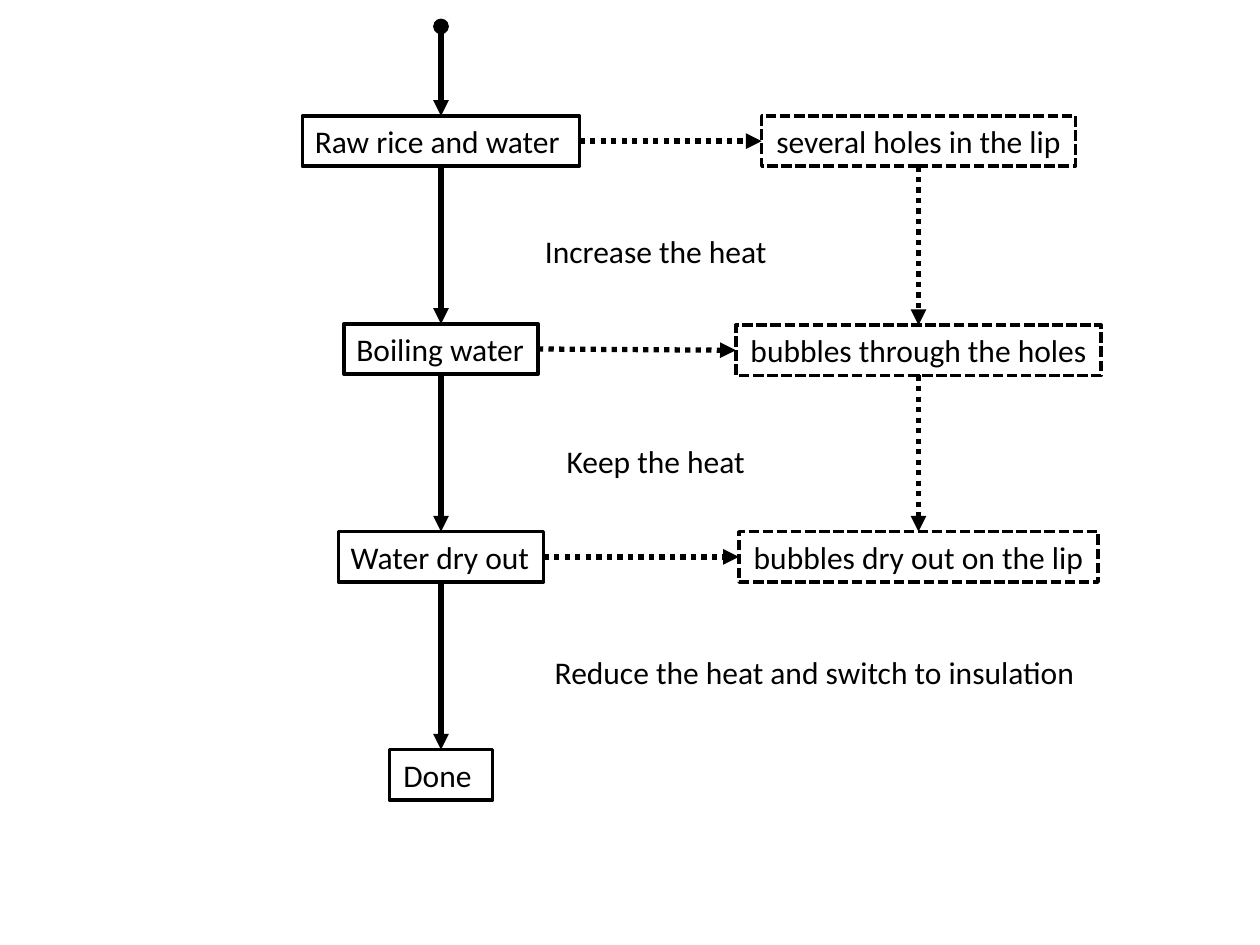
from lxml.etree import SubElement
from pptx import Presentation
from pptx.dml.color import RGBColor
from pptx.enum.dml import MSO_LINE
from pptx.enum.shapes import MSO_CONNECTOR, MSO_SHAPE
from pptx.enum.text import MSO_ANCHOR, PP_ALIGN
from pptx.oxml.ns import qn
from pptx.util import Inches, Pt

TOP, LEFT, BOTTOM, RIGHT = range(4)


def color(hex_string):
    return RGBColor.from_string(hex_string)


class FlowChart:
    FONT, SIZE = "Calibri", Pt(18)
    INK, PAPER = "000000", "FFFFFF"
    BOX_HEIGHT = 0.4

    def __init__(self, slide):
        self.slide = slide

    def set_text(self, shape, text, align, wrap=True):
        frame = shape.text_frame
        frame.text = text
        frame.word_wrap = wrap
        frame.vertical_anchor = MSO_ANCHOR.TOP
        paragraph = frame.paragraphs[0]
        paragraph.alignment = align
        font = paragraph.runs[0].font
        font.name, font.size = self.FONT, self.SIZE
        font.color.rgb = color(self.INK)

    def stroke(self, line, width, dash):
        line.color.rgb = color(self.INK)
        line.width = Pt(width)
        if dash:
            line.dash_style = dash

    def box(self, text, center, top, width, align=PP_ALIGN.LEFT, dash=None):
        shape = self.slide.shapes.add_shape(
            MSO_SHAPE.RECTANGLE, Inches(center - width / 2), Inches(top),
            Inches(width), Inches(self.BOX_HEIGHT))
        shape.shadow.inherit = False
        shape.fill.solid()
        shape.fill.fore_color.rgb = color(self.PAPER)
        self.stroke(shape.line, 2, dash)
        self.set_text(shape, text, align, wrap=dash is None)
        return shape

    def label(self, text, left, top, width):
        shape = self.slide.shapes.add_textbox(
            Inches(left), Inches(top), Inches(width), Inches(self.BOX_HEIGHT))
        self.set_text(shape, text, PP_ALIGN.CENTER)

    def arrow(self, end, end_side, begin=None, begin_side=None, start=(0, 0), dash=None):
        """Arrow into a box, from another box or from a free starting point."""
        x, y = map(Inches, start)
        connector = self.slide.shapes.add_connector(MSO_CONNECTOR.STRAIGHT, x, y, x, y)
        if begin is not None:
            connector.begin_connect(begin, begin_side)
        connector.end_connect(end, end_side)
        self.stroke(connector.line, 3, dash)
        properties = connector._element.spPr
        outline = properties.find(qn("a:ln"))
        if begin is None:
            SubElement(outline, qn("a:headEnd"), type="oval")
        SubElement(outline, qn("a:tailEnd"), type="triangle")
        SubElement(properties, qn("a:effectLst"))


def main():
    presentation = Presentation()
    presentation.slide_width, presentation.slide_height = Inches(10), Inches(7.5)
    chart = FlowChart(presentation.slides.add_slide(presentation.slide_layouts[6]))
    state_center, sign_center = 3.5, 7.29

    # Cooking states on the left
    states = [chart.box(text, state_center, top, width) for text, top, width in (
        ("Raw rice and water", 0.92, 2.2),
        ("Boiling water", 2.57, 1.54),
        ("Water dry out", 4.22, 1.63))]
    states.append(chart.box("Done ", state_center, 5.95, 0.82, PP_ALIGN.CENTER))

    # Visible signs on the right
    signs = [chart.box(text, sign_center, top, width, PP_ALIGN.CENTER, MSO_LINE.SQUARE_DOT)
             for text, top, width in (
                 ("several holes in the lip", 0.92, 2.49),
                 ("bubbles through the holes", 2.58, 2.9),
                 ("bubbles dry out on the lip", 4.22, 2.85))]

    # Solid arrows through the states
    chart.arrow(states[0], TOP, start=(state_center, 0.21))
    for state, following in zip(states, states[1:]):
        chart.arrow(following, TOP, state, BOTTOM)

    # Dotted arrows to and between the signs
    for state, sign in zip(states, signs):
        chart.arrow(sign, LEFT, state, RIGHT, dash=MSO_LINE.ROUND_DOT)
    for sign, following in zip(signs, signs[1:]):
        chart.arrow(following, TOP, sign, BOTTOM, dash=MSO_LINE.ROUND_DOT)

    # Actions between the states
    for action, top, width in (
            ("Increase the heat", 1.79, 1.97),
            ("Keep the heat", 3.46, 1.97),
            ("Reduce the heat and switch to insulation", 5.13, 4.49)):
        chart.label(action, 4.22, top, width)

    presentation.save("out.pptx")


if __name__ == "__main__":
    main()
